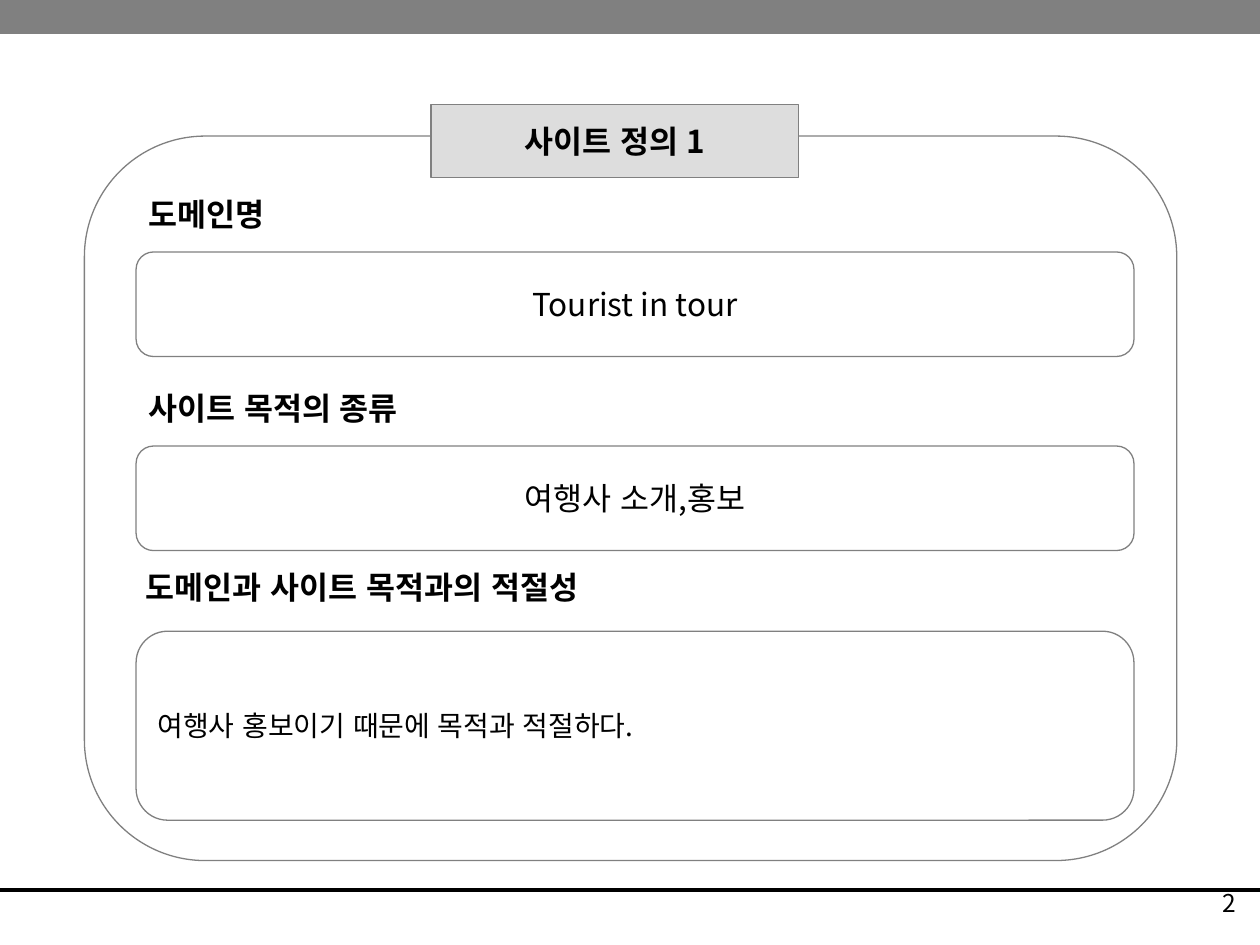
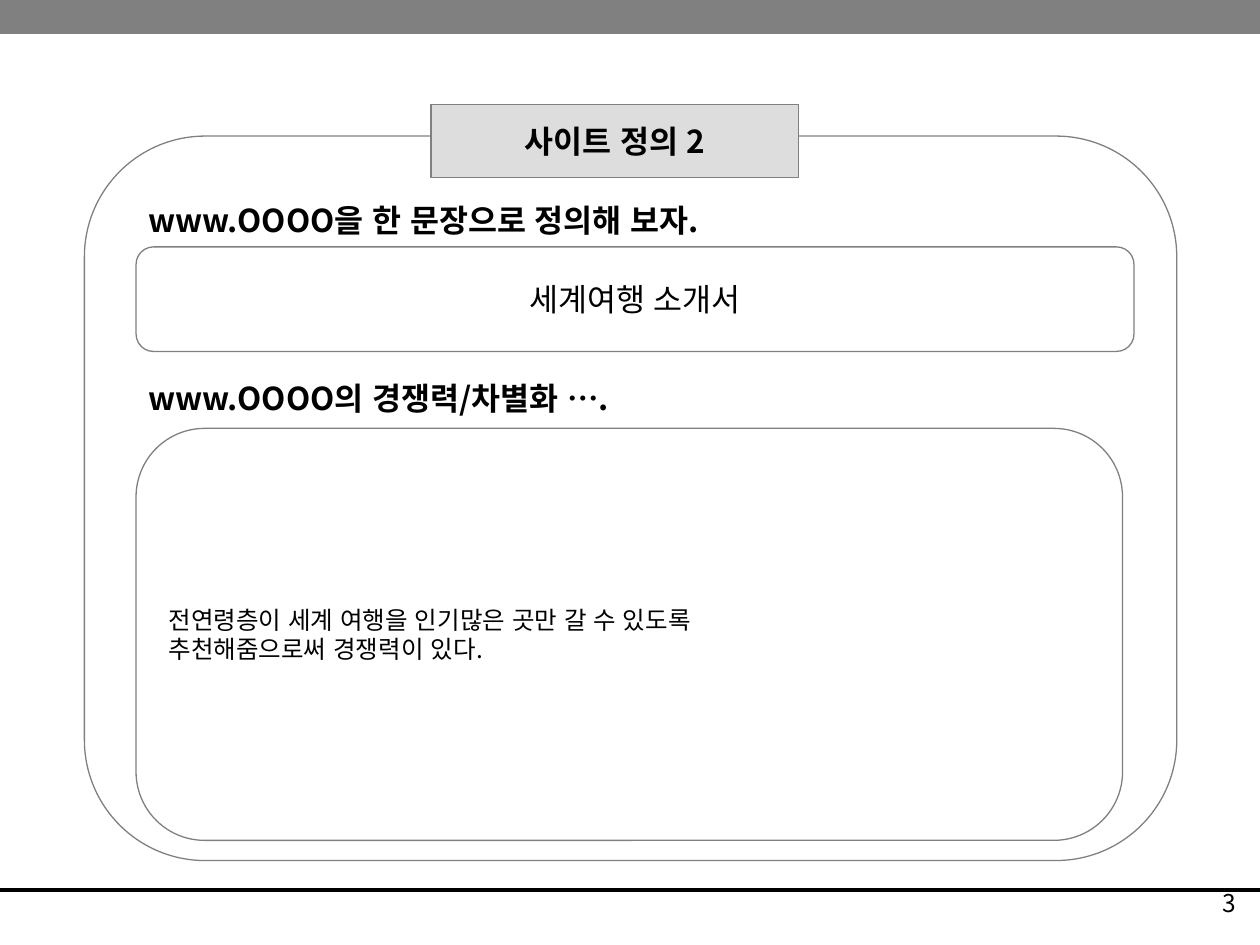
from lxml import etree
from pptx import Presentation
from pptx.dml import color
from pptx.enum import lang, shapes, text
from pptx.oxml import ns
from pptx.util import Inches, Pt

FONT, SERIF = "Noto Sans CJK KR", "Times New Roman"
BLACK, GRAY, PALE = "000000", "808080", "DDDDDD"
LEFT, MID = text.PP_ALIGN.LEFT, text.PP_ALIGN.CENTER
RIGHT = text.PP_ALIGN.RIGHT
FRAME = (0.67, 1.08, 8.67, 5.75)
TITLE = (3.42, 0.83, 2.92, 0.58)
PAGE = (7.83, 7, 2.08, 0.5)
EDGE, WIDE, TALL = 1.08, 7.92, 0.83

SLIDES = [
    {
        "title": "사이트 정의 1",
        "page": "2",
        "heads": [
            (EDGE, 1.5, ["도메인명"]),
            (EDGE, 3.04, ["사이트 목적의 종류"]),
            (1.06, 4.46, ["도메인과 사이트 목적과의 적절성"]),
        ],
        "boxes": [
            (2, WIDE, TALL, 18, MID, ["Tourist in tour"]),
            (3.54, WIDE, TALL, 18, MID, ["여행사 소개,홍보"]),
            (5.01, WIDE, 1.5, 16, LEFT,
             ["여행사 홍보이기 때문에 목적과 적절하다."]),
        ],
    },
    {
        "title": "사이트 정의 2",
        "page": "3",
        "heads": [
            (EDGE, 1.55, ["www.OOOO을 한 문장으로 정의해 보자."]),
            (EDGE, 2.96, ["www.OOOO의 경쟁력/차별화 ", ("…", SERIF), "."]),
        ],
        "boxes": [
            (1.96, WIDE, TALL, 18, MID, ["세계여행 소개서"]),
            (3.4, 7.83, 3.27, 14, LEFT,
             ["전연령층이 세계 여행을 인기많은 곳만 갈 수 있도록",
              "추천해줌으로써 경쟁력이 있다."]),
        ],
    },
]


def rgb(code):
    return color.RGBColor.from_string(code)


def place(at):
    return [Inches(n) for n in at]


def write(shape, paras, size, align, bold=False, anchor=text.MSO_ANCHOR.MIDDLE):
    frame = shape.text_frame
    frame.word_wrap = True
    frame.auto_size = text.MSO_AUTO_SIZE.NONE
    frame.vertical_anchor = anchor
    frame.margin_left = frame.margin_right = Inches(0.1)
    frame.margin_top = frame.margin_bottom = Inches(0.05)
    for i, runs in enumerate(paras):
        para = frame.add_paragraph() if i else frame.paragraphs[0]
        para.alignment = align
        for part in runs:
            words, face = (part, FONT) if isinstance(part, str) else part
            run = para.add_run()
            run.text = words
            font = run.font
            font.size, font.bold, font.name = Pt(size), bold, face
            font.color.rgb = rgb(BLACK)
            font.language_id = lang.MSO_LANGUAGE_ID.KOREAN
            latin = run.font._element.find(ns.qn("a:latin"))
            east = etree.Element(ns.qn("a:ea"), typeface=FONT)
            latin.addnext(east)


def paint(shape, fill=None, line=GRAY):
    if fill:
        shape.fill.solid()
        shape.fill.fore_color.rgb = rgb(fill)
    else:
        shape.fill.background()
    if line:
        shape.line.color.rgb = rgb(line)
        shape.line.width = Pt(0.75)
    else:
        shape.line.fill.background()


def panel(slide, at, kind=shapes.MSO_SHAPE.ROUNDED_RECTANGLE):
    shape = slide.shapes.add_shape(kind, *place(at))
    shape.shadow.inherit = False
    paint(shape)
    return shape


def label(slide, at, runs, size, align, bold=False):
    box = slide.shapes.add_textbox(*place(at))
    write(box, [runs], size, align, bold, text.MSO_ANCHOR.TOP)


def dress(deck, slide):
    band = panel(slide, (0, 0, 10.01, 0.27), shapes.MSO_SHAPE.RECTANGLE)
    paint(band, GRAY, None)
    rule = slide.shapes.add_connector(
        shapes.MSO_CONNECTOR.STRAIGHT, *place((0, 7.06, 10, 7.06)))
    rule.line.color.rgb = rgb(BLACK)
    rule.line.width = Pt(2.25)
    etree.SubElement(rule._element.spPr, ns.qn("a:effectLst"))
    tree = deck.slide_master.shapes.element
    for i, part in enumerate((band, rule)):
        part.element.xpath(".//p:cNvPr")[0].set("id", str(50 + i))
        tree.insert(2, part.element)


def build(slide, data):
    for top, wide, tall, size, align, lines in data["boxes"]:
        box = panel(slide, (EDGE, top, wide, tall))
        write(box, [[line] for line in lines], size, align)
    for left, top, runs in data["heads"]:
        label(slide, (left, top, 5, 0.4), runs, 18, LEFT, True)
    panel(slide, FRAME)
    title = slide.shapes.title
    title.left, title.top, title.width, title.height = place(TITLE)
    paint(title, PALE)
    write(title, [[data["title"]]], 18, MID, True)
    slide.shapes.element.append(title.element)
    label(slide, PAGE, [data["page"]], 14, RIGHT)


def main():
    """Build the site definition slides."""
    deck = Presentation()
    deck.slide_width, deck.slide_height = Inches(10), Inches(7.5)
    for i, data in enumerate(SLIDES):
        slide = deck.slides.add_slide(deck.slide_layouts[5])
        if not i:
            dress(deck, slide)
        build(slide, data)
    deck.save("out.pptx")


if __name__ == "__main__":
    main()
